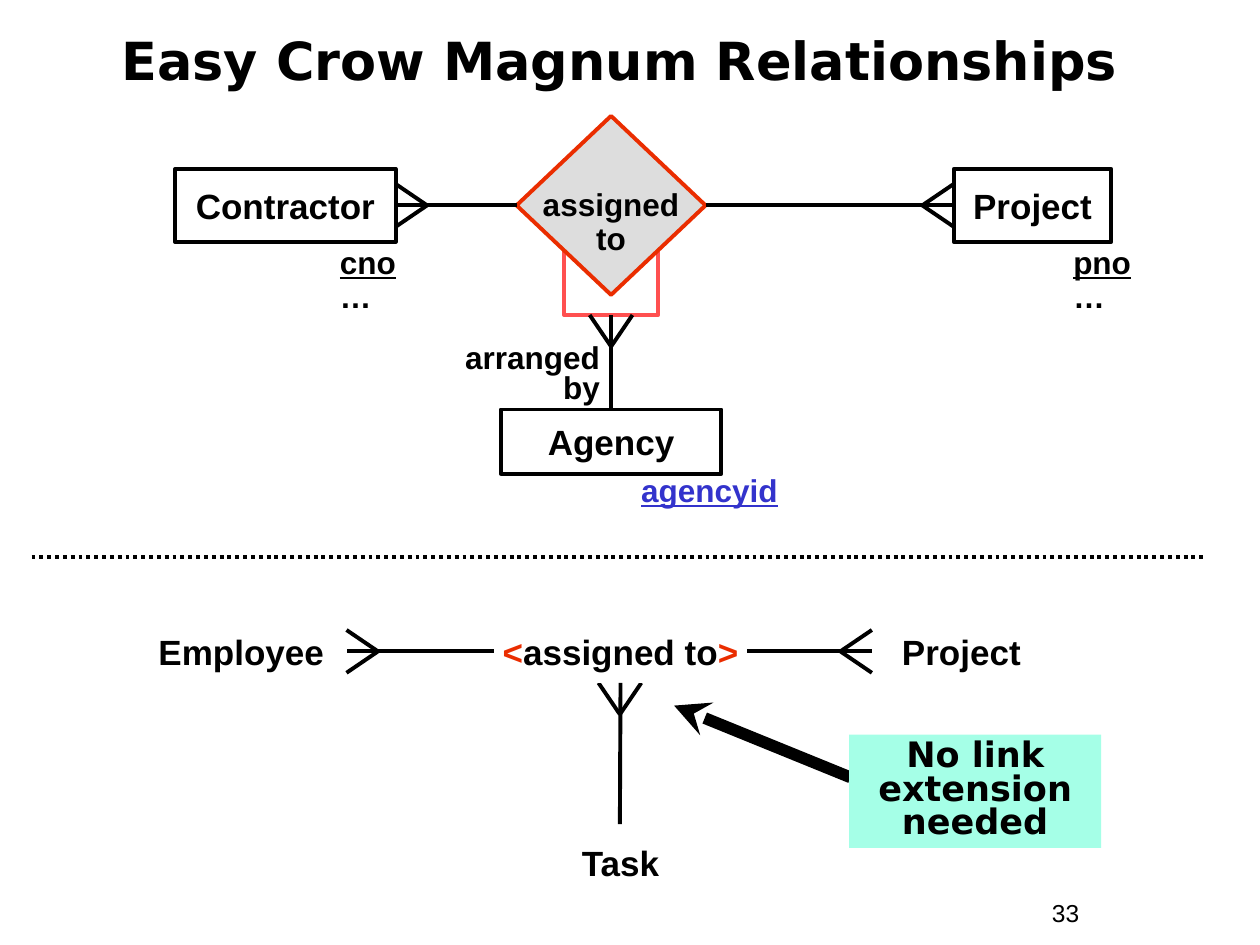
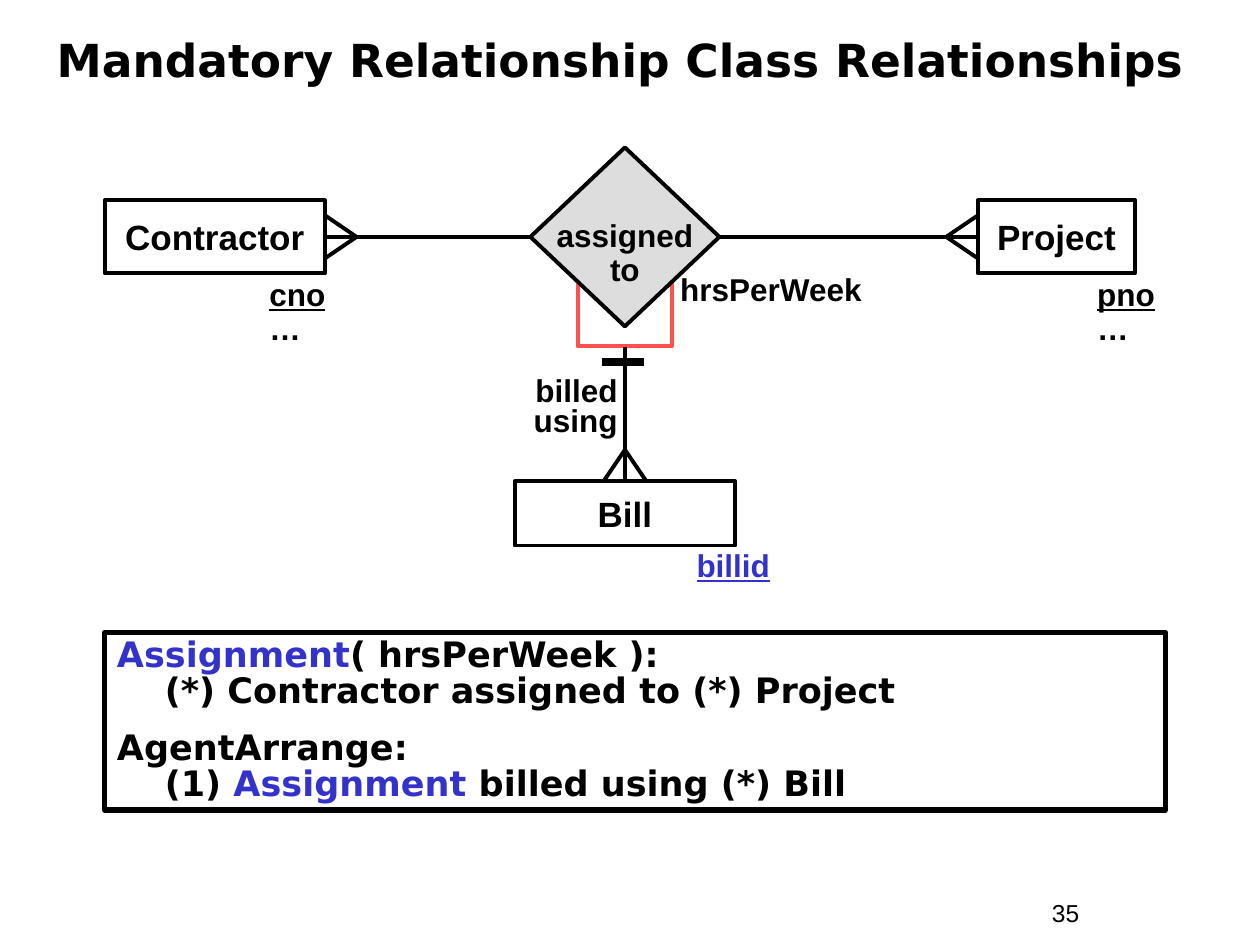
"""Build two slides of crow's foot relationship diagrams."""
from lxml.etree import SubElement
from pptx import Presentation
from pptx.dml.color import RGBColor
from pptx.enum.dml import MSO_LINE
from pptx.enum.shapes import MSO_CONNECTOR, MSO_SHAPE
from pptx.enum.text import MSO_ANCHOR, PP_ALIGN
from pptx.oxml.ns import qn
from pptx.util import Inches, Pt

deck = Presentation()
deck.slide_width, deck.slide_height = Inches(10), Inches(7.5)
COL, ROW = deck.slide_width / 100, deck.slide_height / 75
BLACK, RED, ROSE, BLUE = "000000", "EA2D00", "FF5050", "3333CC"
GREY, MINT, WHITE = "DDDDDD", "A5FFE7", "FFFFFF"
SANS, HEAD = "Arial", "DejaVu Sans"
RECT, RHOMB = MSO_SHAPE.RECTANGLE, MSO_SHAPE.FLOWCHART_DECISION
TOP, MID = MSO_ANCHOR.TOP, MSO_ANCHOR.MIDDLE
LEFT, CENTER, RIGHT = PP_ALIGN.LEFT, PP_ALIGN.CENTER, PP_ALIGN.RIGHT
hue = RGBColor.from_string


def box(page, x, y, w, h, text="", kind=None, fill=None, edge=None, thick=2.25,
        size=20, ink=BLACK, font=SANS, bold=True, under=False,
        align=CENTER, anchor=MID, space=1.0):
    """Add a shape or text box; a bar splits runs and a new line splits paragraphs."""
    place = [int(x * COL), int(y * ROW), int(w * COL), int(h * ROW)]
    if kind is None:
        item = page.shapes.add_textbox(*place)
    else:
        item = page.shapes.add_shape(kind, *place)
        item.shadow.inherit = False
        item.fill.background()
        item.line.fill.background()
    if fill:
        item.fill.solid()
        item.fill.fore_color.rgb = hue(fill)
    if edge:
        item.line.color.rgb = hue(edge)
        item.line.width = Pt(thick)
    frame = item.text_frame
    frame.word_wrap = anchor == TOP
    frame.vertical_anchor = anchor
    frame.text = text and "\n" * text.count("\n")
    for para, line in zip(frame.paragraphs, text.split("\n")):
        para.alignment, para.line_spacing = align, space
        for part in line.split("|") if line else []:
            if part == "\v":
                para.add_line_break()
                continue
            run = para.add_run()
            run.text = part
            run.font.name, run.font.size, run.font.bold = font, Pt(size), bold
            run.font.color.rgb = hue(ink)
    if under:
        frame.paragraphs[0].runs[0].font.underline = True
    return item


def wire(page, x1, y1, x2, y2, thick=2.25, start=None, stop=None):
    """Add a straight line, joined to a (shape, side) pair at either end."""
    line = page.shapes.add_connector(MSO_CONNECTOR.STRAIGHT, int(x1 * COL), int(y1 * ROW),
                                     int(x2 * COL), int(y2 * ROW))
    line.line.color.rgb = hue(BLACK)
    line.line.width = Pt(thick)
    SubElement(line._element.spPr, qn("a:effectLst"))
    if start:
        line.begin_connect(*start)
    if stop:
        line.end_connect(*stop)
    return line


plans = [
    dict(title="Easy Crow Magnum Relationships", size=30, num="33", mid=(48.5, 16.3),
         sides=(13.9, 75.7), edge=RED, unit=("Agency", 32.5), key=("agencyid", 49.9, 37.2),
         verb=("arranged|\v|by", 35.3, 26.9),
         feet=[(48.5, 27.5, 0, -2.5), (66.7, 51.7, 2.5, 0), (30, 51.7, -2.5, 0),
               (49.2, 56.7, 0, -2.5)]),
    dict(title="Mandatory Relationship Class Relationships", size=26, num="35", mid=(49.6, 18.8),
         sides=(8.3, 77.6), edge=BLACK, unit=("Bill", 38.2), key=("billid", 54.3, 43.2),
         verb=("billed|\v|using", 36.7, 29.5),
         feet=[(49.6, 35.7, 0, 2.5)]),
]
pages = []
for plan in plans:
    page = deck.slides.add_slide(deck.slide_layouts[6])
    pages.append(page)
    head = box(page, 1.7, -0.2, 96.7, 9.2, plan["title"] + "| ", size=plan["size"], font=HEAD)
    head.text_frame.paragraphs[0].runs[1].font.size = Pt(plan["size"] + 6)
    box(page, 82.5, 70.8, 9.2, 3.4, plan["num"], size=14, bold=False, align=LEFT, anchor=TOP)

    cx, cy = plan["mid"]
    frame = box(page, cx - 3.75, cy + 3.7, 7.5, 5, kind=RECT, edge=ROSE)
    rhomb = box(page, cx - 7.5, cy - 7.1, 15, 14.2, "assigned|\v|to", kind=RHOMB,
                fill=GREY, edge=plan["edge"], size=18, space=0.9)
    rhomb.text_frame.margin_top = Inches(0.33)
    ends = []
    for name, key, x, w, shift in zip(("Contractor", "Project"), ("cno", "pno"),
                                      plan["sides"], (17.5, 12.5), (12.1, 8.5)):
        ends.append(box(page, x, cy - 2.9, w, 5.8, name, kind=RECT, edge=BLACK))
        box(page, x + shift, cy + 2.85, 12, 6.4, key + "\n…", size=18, under=True,
            align=LEFT, anchor=TOP, space=0.9)
    name, y = plan["unit"]
    unit = box(page, cx - 8.75, y, 17.5, 5.1, name, kind=RECT, edge=BLACK)
    name, x, y = plan["key"]
    box(page, x, y, 15, 3.7, name, size=18, ink=BLUE, under=True,
        align=LEFT, anchor=TOP, space=0.9)
    name, x, y = plan["verb"]
    box(page, x, y, 13.3, 5.8, name, size=18, align=RIGHT, anchor=TOP, space=0.8)

    for start, stop in (((ends[0], 3), (rhomb, 1)), ((rhomb, 3), (ends[1], 1)),
                        ((frame, 2), (unit, 0))):
        wire(page, cx, cy, cx, cy, start=start, stop=stop)
    left, right = plan["sides"]
    feet = [(left + 20, cy, -2.5, 0), (right - 2.5, cy, 2.5, 0)] + plan["feet"]
    for x, y, dx, dy in feet:
        for toe in (-1.7, 1.7):
            wire(page, x, y, x + (dx or toe), y + (dy or toe))

crow, bill = pages
wire(crow, 2.5, 44.2, 95.8, 44.2).line.dash_style = MSO_LINE.ROUND_DOT
for name, x, y, w, h in (("Employee", 10.8, 46.7, 16.7, 10), ("Project", 69.2, 46.7, 14.2, 10),
                         ("Task", 40.5, 65.3, 17.5, 6.3)):
    box(crow, x, y, w, h, name)
link = box(crow, 39.2, 49.2, 20.1, 5, "<|assigned to|>", kind=RECT, fill=WHITE)
for run in link.text_frame.paragraphs[0].runs[::2]:
    run.font.color.rgb = hue(RED)
for x, y, side in ((27.5, 51.7, 1), (69.2, 51.7, 3), (49.2, 65.4, 2)):
    wire(crow, x, y, x, y, start=(link, side))
arrow = wire(crow, 67.5, 61.7, 53.5, 56, thick=6.75)
SubElement(arrow._element.spPr.find(qn("a:ln")), qn("a:tailEnd"), type="stealth")
box(crow, 67.4, 58.3, 20, 9, "No link extension needed", kind=RECT, fill=MINT,
    font=HEAD, anchor=TOP, space=0.8)

box(bill, 53, 21.3, 16.7, 3.7, "hrsPerWeek", size=18, align=LEFT, anchor=TOP, space=0.9)
wire(bill, 47.8, 28.7, 51.1, 28.7, thick=4.5)
rules = box(bill, 8.3, 50.2, 84.2, 14.1,
            "Assignment|( hrsPerWeek ):|\v|(*) Contractor assigned to (*) Project\n"
            "AgentArrange:|\v|(1) |Assignment| billed using (*) Bill",
            kind=RECT, edge=BLACK, thick=3, font=HEAD, align=LEFT, anchor=TOP, space=0.85)
for para in rules.text_frame.paragraphs:
    props = para._p.get_or_add_pPr()
    props.set("marL", str(Inches(0.38)))
    props.set("indent", str(-Inches(0.38)))
    for run in para.runs:
        if run.text == "Assignment":
            run.font.color.rgb = hue(BLUE)
para.space_before = Pt(12.5)

deck.save("out.pptx")
